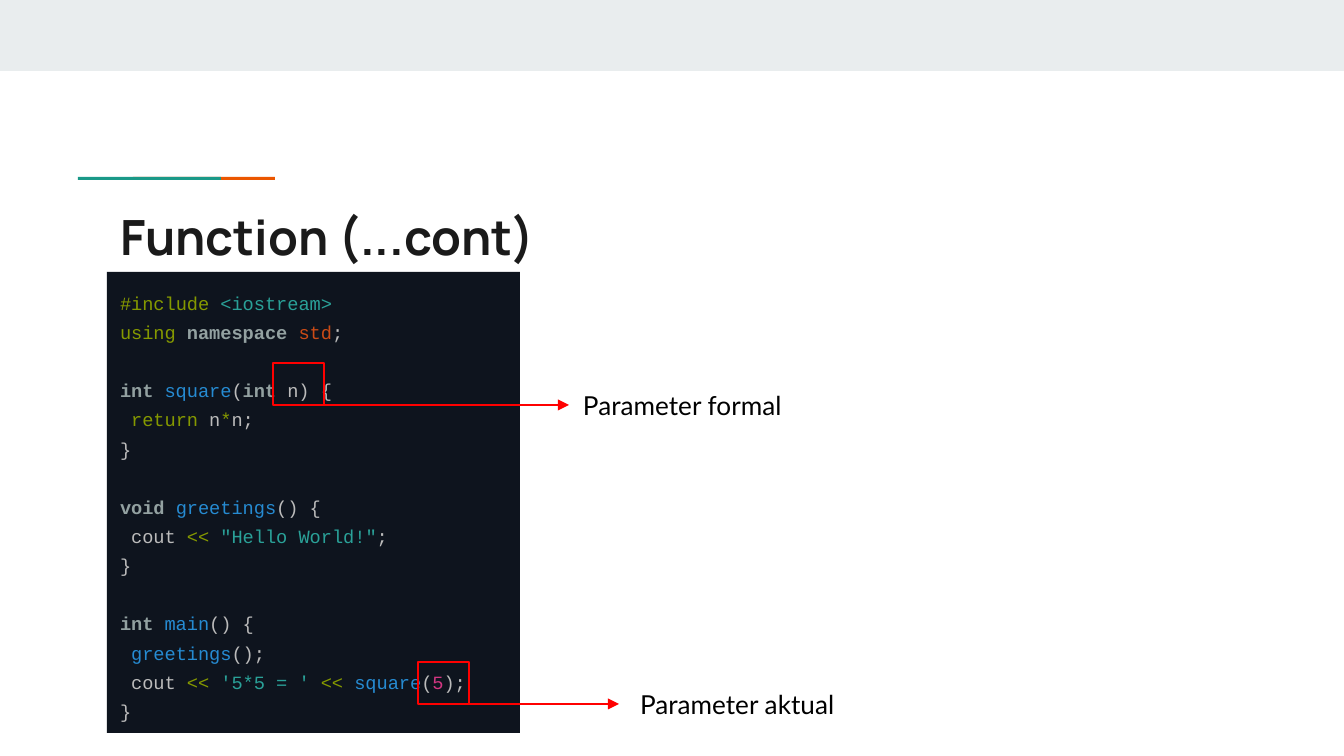
import pptx
import pptx.util
import pptx.dml.color
import pptx.enum.shapes
import pptx.enum.text
import pptx.oxml
import pptx.oxml.ns

PX = 914400 / 134.4  # EMU in one px
THEME = {
    "band": "E9EDEE", "teal": "1A9988", "rust": "EB5600", "title": "1A1A1A",
    "label": "000000", "mark": "FF0000", "panel": "0E141E",
    # code colours
    "word": "93A1A1", "op": "859900", "str": "2AA198", "lib": "CB4B16",
    "name": "268BD2", "num": "D33682", "text": "BBBBBB",
    # type
    "title pt": 26, "code pt": 10, "label pt": 14, "line pt": 0.75,
    "title font": "Manrope", "code font": "Courier New", "label font": "Lato",
}
ANCHOR = pptx.enum.text.MSO_ANCHOR.TOP
FIT = pptx.enum.text.MSO_AUTO_SIZE.NONE
LEFT = pptx.enum.text.PP_ALIGN.LEFT
RECT = pptx.enum.shapes.MSO_SHAPE.RECTANGLE
LINE = pptx.enum.shapes.MSO_CONNECTOR.STRAIGHT


def hue(key):
    return pptx.dml.color.RGBColor.from_string(THEME[key])


def add_run(par, text, kind, color, bold=False):
    run = par.add_run()
    run.text = text
    run.font.name = THEME[kind + " font"]
    run.font.size = pptx.util.Pt(THEME[kind + " pt"])
    run.font.color.rgb = hue(color)
    run.font.bold = bold


prs = pptx.Presentation()
prs.slide_width = round(1344 * PX)
prs.slide_height = round(756 * PX)
slide = prs.slides.add_slide(prs.slide_layouts[1])
shapes = slide.shapes
title, body = slide.placeholders

# Top band and two-colour accent
for color, x, y, w, h in [("band", 0, 0, 1344, 71),
                          ("rust", 133, 177, 142, 3),
                          ("teal", 78, 177, 143, 3)]:
    bar = shapes.add_shape(RECT, *[round(v * PX) for v in (x, y, w, h)])
    bar.shadow.inherit = False
    bar.fill.solid()
    bar.fill.fore_color.rgb = hue(color)
    bar.line.fill.background()

# Title and code panel frames
for holder, area in [(title, (107, 194, 1130, 79)), (body, (107, 272, 413, 461))]:
    holder.left, holder.top, holder.width, holder.height = [
        round(v * PX) for v in area]
    frame = holder.text_frame
    frame.word_wrap = True
    frame.auto_size = FIT
    frame.vertical_anchor = ANCHOR
    frame.margin_left = frame.margin_right = round(13 * PX)
    frame.margin_top = frame.margin_bottom = round(13 * PX)

head = title.text_frame.paragraphs[0]
head.alignment = LEFT
add_run(head, "Function (...cont)", "title", "title", True)

# Code: blocks of lines, each line a list of coloured runs
body.fill.solid()
body.fill.fore_color.rgb = hue("panel")
END = [("}", "text")]
CODE = [
    [[("#include ", "op"), ("<iostream>", "str")],
     [("using ", "op"), ("namespace ", "word"), ("std", "lib"), (";", "text")]],
    [[("int ", "word"), ("square", "name"), ("(", "text"), ("int", "word"),
      (" n) {", "text")],
     [(" ", "text"), ("return", "op"), (" n", "text"), ("*", "op"),
      ("n;", "text")],
     END],
    [[("void ", "word"), ("greetings", "name"), ("() {", "text")],
     [(" cout ", "text"), ("<< ", "op"), ('"Hello World!"', "str"),
      (";", "text")],
     END],
    [[("int ", "word"), ("main", "name"), ("() {", "text")],
     [(" ", "text"), ("greetings", "name"), ("();", "text")],
     [(" cout ", "text"), ("<< ", "op"), ("'5*5 = ' ", "str"), ("<< ", "op"),
      ("square", "name"), ("(", "text"), ("5", "num"), (");", "text")],
     END],
]
par = body.text_frame.paragraphs[0]
for b, block in enumerate(CODE):
    for i, line in enumerate(block):
        if b or i:
            par = body.text_frame.add_paragraph()
        props = par._p.get_or_add_pPr()
        props.set("marL", "0")
        props.set("indent", "0")
        props.append(pptx.oxml.parse_xml(
            f"<a:buNone {pptx.oxml.ns.nsdecls('a')}/>"))
        par.alignment = LEFT
        par.line_spacing = 1.3
        par.space_before = pptx.util.Pt(15.6 if b and not i else 0)
        for text, color in line:
            add_run(par, text, "code", color, color == "word")

# Callouts: arrow, frame round the parameter, label
for text, x, y, tip, left in [("Parameter aktual", 418, 704, 619, 627),
                              ("Parameter formal", 273, 405, 569, 570)]:
    arrow = shapes.add_connector(
        LINE, *[round(v * PX) for v in (x + 34, y, tip, y)])
    mark = shapes.add_shape(
        RECT, *[round(v * PX) for v in (x, y - 42, 51, 42)])
    mark.shadow.inherit = False
    mark.fill.background()
    for item in (arrow, mark):
        item.line.color.rgb = hue("mark")
        item.line.width = pptx.util.Pt(THEME["line pt"])
    for parent, tag in [(arrow.line._get_or_add_ln(), 'tailEnd type="triangle"'),
                        (arrow._element.spPr, "effectLst")]:
        name, _, rest = tag.partition(" ")
        parent.append(pptx.oxml.parse_xml(
            f"<a:{name} {pptx.oxml.ns.nsdecls('a')} {rest}/>"))

    label = shapes.add_textbox(
        *[round(v * PX) for v in (left, y - 29, 281, 59)]).text_frame
    label.word_wrap = True
    label.margin_left = label.margin_right = round(13 * PX)
    label.margin_top = label.margin_bottom = round(13 * PX)
    add_run(label.paragraphs[0], text, "label", "label")

prs.save("out.pptx")
